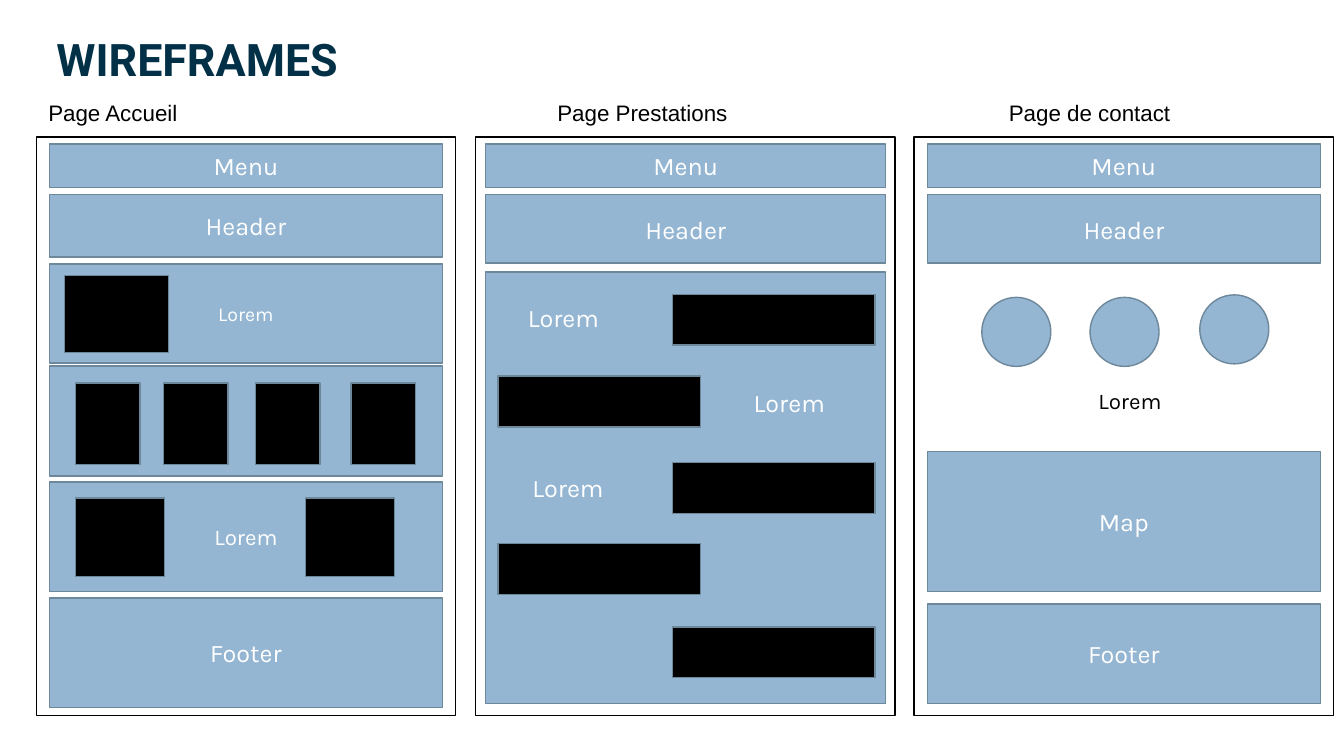
from pptx import Presentation
from pptx.dml.color import RGBColor
from pptx.enum import shapes, text
from pptx.util import Pt

NAVY = RGBColor(0x02, 0x30, 0x47)
BLUE = RGBColor(0x94, 0xB6, 0xD2)
EDGE = RGBColor(0x6D, 0x87, 0x9B)
BLACK = RGBColor(0, 0, 0)
WHITE = RGBColor(255, 255, 255)
RECT = shapes.MSO_SHAPE.RECTANGLE
OVAL = shapes.MSO_SHAPE.OVAL


def write(frame, words, size, font, color, bold=False):
    para = frame.paragraphs[0]
    run = para.add_run()
    run.text = words
    run.font.size = Pt(size)
    run.font.name = font
    run.font.bold = bold
    run.font.color.rgb = color
    return para


def add_title(slide, words):
    title = slide.shapes.title
    title.left, title.top, title.width, title.height = Pt(33.1), Pt(18.7), Pt(248.4), Pt(46.1)
    frame = title.text_frame
    frame.vertical_anchor = text.MSO_ANCHOR.TOP
    para = write(frame, words, 32, "Roboto", NAVY, True)
    para.alignment = text.PP_ALIGN.LEFT


def add_label(slide, words, left, width):
    box = slide.shapes.add_textbox(Pt(left), Pt(67), Pt(width), Pt(26.6))
    box.text_frame.word_wrap = False
    write(box.text_frame, words, 16, "Arial", BLACK)


def add_block(slide, left, top, width, height, fill=BLUE, edge=EDGE, kind=RECT):
    block = slide.shapes.add_shape(kind, Pt(left), Pt(top), Pt(width), Pt(height))
    block.shadow.inherit = False
    block.fill.solid()
    block.fill.fore_color.rgb = fill
    if edge is None:
        block.line.fill.background()
    else:
        block.line.color.rgb = edge
        block.line.width = Pt(1)
    return block


def add_words(block, words, size=18, color=WHITE):
    frame = block.text_frame
    frame.word_wrap = True
    frame.vertical_anchor = text.MSO_ANCHOR.MIDDLE
    write(frame, words, size, "Karla", color).alignment = text.PP_ALIGN.CENTER


def add_page(slide, left, bar, width, head):
    """Draw a page frame with its menu and a header of height head."""
    add_block(slide, left, 97.9, 299.5, 413.3, WHITE, BLACK)
    add_words(add_block(slide, bar, 103, width, 31), "Menu")
    add_words(add_block(slide, bar, 139, width, head), "Header")


def add_home(slide):
    bar, width = 35.3, 280.8
    add_label(slide, "Page Accueil", 27.4, 108)
    add_page(slide, 25.9, bar, width, 44.6)
    add_words(add_block(slide, bar, 188.6, width, 70.6), "Lorem", 14)
    add_block(slide, bar, 261.4, width, 78.5)
    add_words(add_block(slide, bar, 344.2, width, 78.5), "Lorem", 16)
    add_words(add_block(slide, bar, 427, width, 78.5), "Footer")
    add_block(slide, 46.1, 196.6, 74.2, 55.4, BLACK)
    for left in (54, 116.9, 182.5, 250.6):
        add_block(slide, left, 273.6, 46.1, 58.3, BLACK)
    for left in (54, 218.2):
        add_block(slide, left, 355.7, 63.4, 56.2, BLACK)


def add_offers(slide):
    add_label(slide, "Page Prestations", 391, 137.5)
    add_page(slide, 339.8, 347, 285.8, 49)
    add_block(slide, 347, 194.4, 285.8, 308.2)
    for i, top in enumerate((210.2, 268.6, 330.5, 388.1, 447.8)):
        left = 355.7 if i % 2 else 480.2
        add_block(slide, left, top, 144.7, 36.4, BLACK)
    for left, top, width in ((355.7, 210.2, 93.6), (514.1, 270.7, 99.4), (362.9, 331.9, 85.7)):
        add_words(add_block(slide, left, top, width, 33, edge=None), "Lorem")


def add_contact(slide):
    bar, width = 662.4, 280.8
    add_label(slide, "Page de contact", 713.5, 130.3)
    add_page(slide, 653, bar, width, 49)
    for left, top in ((701.3, 212.4), (778.6, 212.4), (857, 210.6)):
        add_block(slide, left, top, 49.3, 49.3, kind=OVAL)
    caption = add_block(slide, 689, 273.6, 236.2, 24.5, WHITE, None)
    add_words(caption, "Lorem", 16, BLACK)
    add_words(add_block(slide, bar, 322.6, width, 100.1), "Map")
    add_words(add_block(slide, bar, 431.3, width, 71.3), "Footer")


def main():
    deck = Presentation()
    deck.slide_width, deck.slide_height = Pt(960), Pt(540)
    slide = deck.slides.add_slide(deck.slide_layouts[5])
    add_title(slide, "WIREFRAMES")
    add_home(slide)
    add_offers(slide)
    add_contact(slide)
    deck.save("out.pptx")


if __name__ == "__main__":
    main()
